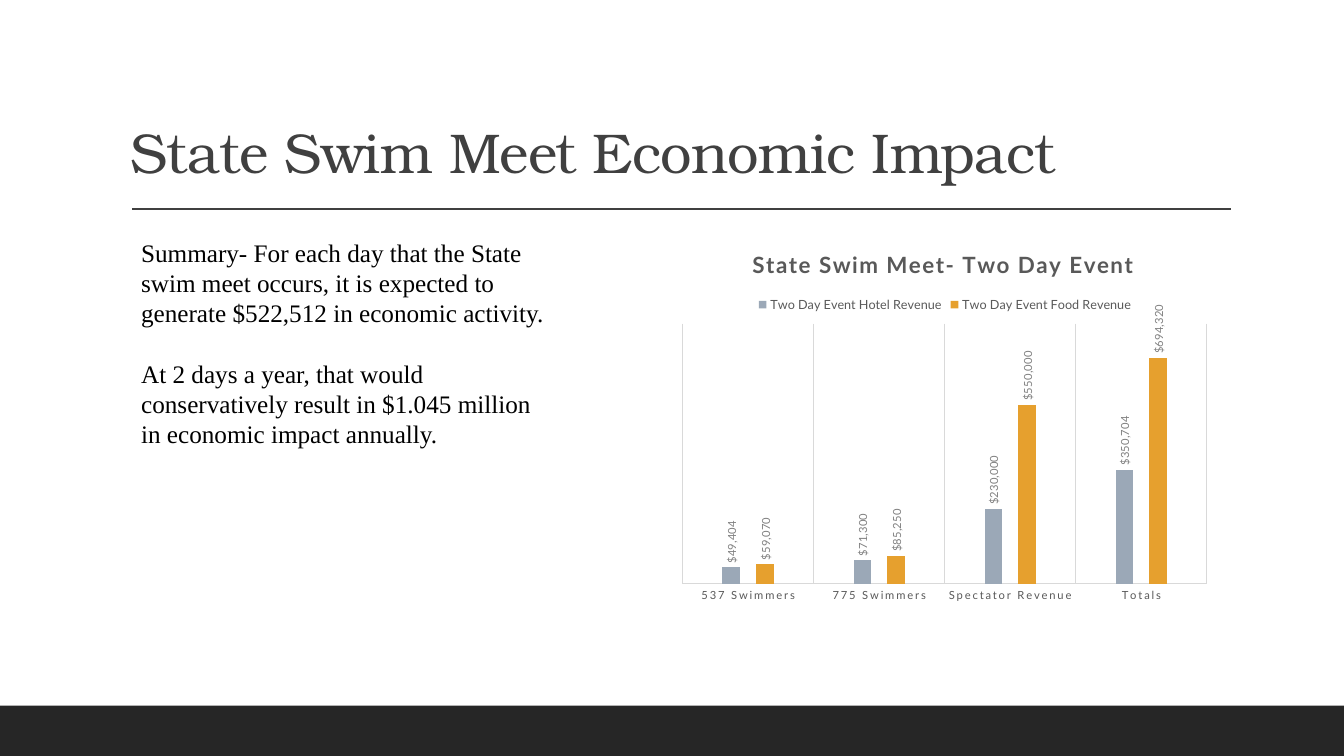
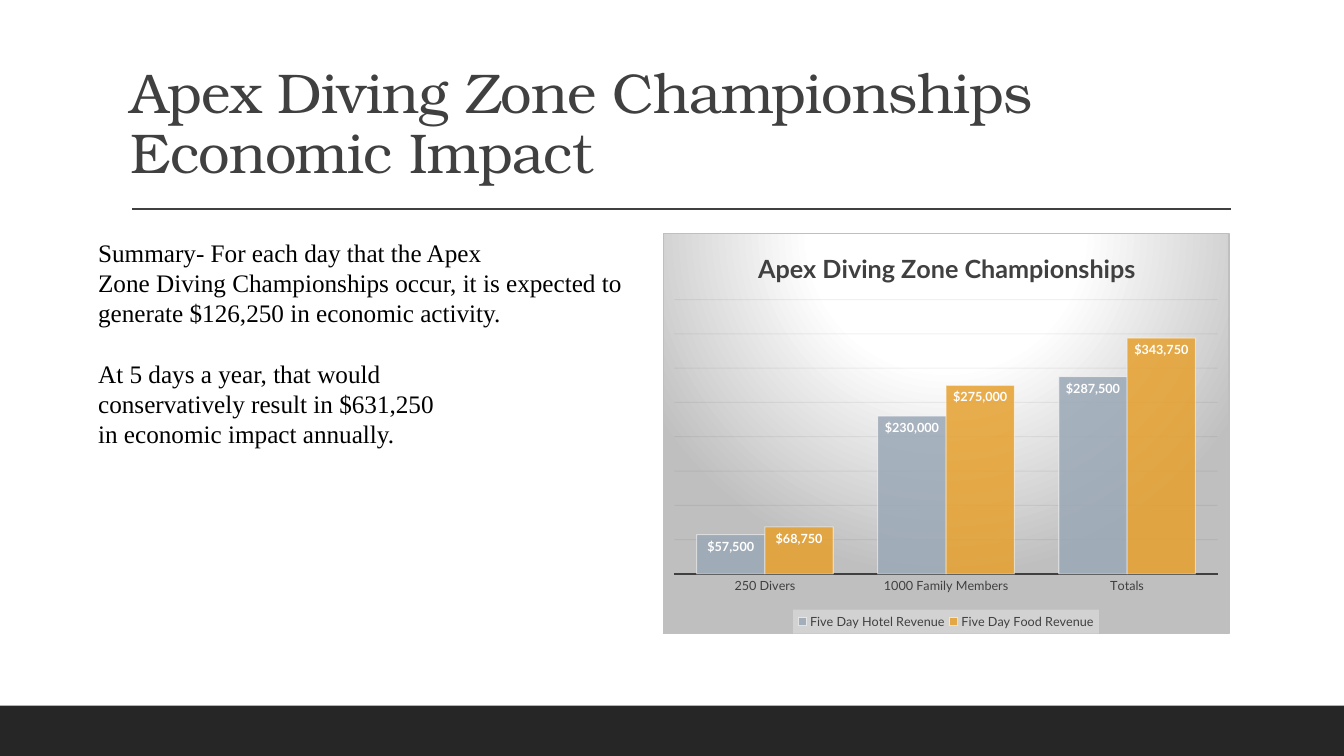
"""Build two economic impact slides, each with a summary and a column chart."""
from dataclasses import dataclass
from typing import Any, NamedTuple

from lxml import etree
from pptx import Presentation
from pptx import util as u
from pptx.chart.data import CategoryChartData
from pptx.dml.color import RGBColor
from pptx.enum import chart as ce
from pptx.enum import shapes, text
from pptx.oxml import parse_xml
from pptx.oxml.ns import nsdecls, qn

PX = 9525


class Box(NamedTuple):
    """Left, top, width and height."""
    x: float
    y: float
    w: float
    h: float


@dataclass(frozen=True)
class Theme:
    """Colours, fonts and type sizes of the deck."""
    band: str = "262626"
    ink: str = "404040"
    body: str = "000000"
    muted: str = "595959"
    label: str = "808080"
    rule: str = "D9D9D9"
    white: str = "FFFFFF"
    edge: str = "BFBFBF"
    panel: str = "F2F2F2"
    grid: str = "0D0D0D"
    series: tuple[str, ...] = ("9BA8B7", "E6A02E")
    title_font: str = "TeX Gyre Bonum"
    body_font: str = "Times New Roman"
    chart_font: str = "Lato"
    title_size: float = 40
    body_size: float = 18
    body_line: float = 21.6
    legend_size: float = 9
    money: str = '"$"#,##0'


T = Theme()


@dataclass(frozen=True)
class Look:
    """Formatting of one chart."""
    ink: str
    title_size: int
    title_spacing: int
    axis_size: int
    axis_line: tuple[str, float]
    label_color: str
    label_size: int
    label_bold: bool
    label_position: Any
    legend_position: Any
    gap: int
    overlap: int
    top: int
    unit: int
    title_box: Box
    legend_box: Box
    plot_box: Box
    glossy: bool = False


@dataclass(frozen=True)
class ImpactSlide:
    """Wording, places and values of one slide."""
    title: str
    summary: tuple[tuple[str, ...], ...]
    summary_box: Box
    chart_title: str
    chart_box: Box
    categories: tuple[str, ...]
    series: dict[str, tuple[int, ...]]
    look: Look


AIRY = Look(
    ink=T.muted, title_size=16, title_spacing=120, axis_size=8, axis_line=(T.rule, 0.75),
    label_color=T.label, label_size=8, label_bold=False,
    label_position=ce.XL_LABEL_POSITION.OUTSIDE_END, legend_position=ce.XL_LEGEND_POSITION.TOP,
    gap=444, overlap=-90, top=800000, unit=100000, title_box=Box(0.14, 0.03, 0, 0),
    legend_box=Box(0.15, 0.16, 0.7, 0.06), plot_box=Box(0.02, 0.24, 0.96, 0.69))
GLOSSY = Look(
    ink=T.ink, title_size=18, title_spacing=0, axis_size=9, axis_line=(T.ink, 1.5),
    label_color=T.white, label_size=9, label_bold=True,
    label_position=ce.XL_LABEL_POSITION.INSIDE_END, legend_position=ce.XL_LEGEND_POSITION.BOTTOM,
    gap=65, overlap=0, top=400000, unit=50000, title_box=Box(0.16, 0.03, 0, 0),
    legend_box=Box(0.23, 0.94, 0.54, 0.06), plot_box=Box(0.02, 0.165, 0.96, 0.686), glossy=True)

SLIDES = (
    ImpactSlide(
        "State Swim Meet Economic Impact",
        (("Summary- For each day that the State",
          "swim meet occurs, it is expected to",
          "generate $522,512 in economic activity."),
         ("At 2 days a year, that would",
          "conservatively result in $1.045 million",
          "in economic impact annually.")),
        Box(125, 221, 423, 242),
        "State Swim Meet- Two Day Event", Box(640, 222, 520, 359),
        ("537 Swimmers", "775 Swimmers", "Spectator Revenue", "Totals"),
        {"Two Day Event Hotel Revenue": (49404, 71300, 230000, 350704),
         "Two Day Event Food Revenue": (59070, 85250, 550000, 694320)},
        AIRY),
    ImpactSlide(
        "Apex Diving Zone Championships Economic Impact",
        (("Summary- For each day that the Apex",
          "Zone Diving Championships occur, it is expected to",
          "generate $126,250 in economic activity."),
         ("At 5 days a year, that would",
          "conservatively result in $631,250",
          "in economic impact annually.")),
        Box(84, 221, 534, 242),
        "Apex Diving Zone Championships", Box(631, 222, 540, 382),
        ("250 Divers", "1000 Family Members", "Totals"),
        {"Five Day Hotel Revenue": (57500, 230000, 287500),
         "Five Day Food Revenue": (68750, 275000, 343750)},
        GLOSSY),
)


def emu(*lengths: float) -> list[int]:
    """Turn px into EMU."""
    return [int(n * PX) for n in lengths]


def assign(obj: Any, **values: Any) -> None:
    """Set several attributes of an object."""
    for name, value in values.items():
        setattr(obj, name, value)


def set_font(font: Any, name: str, size: float, color: str, bold: bool = False) -> None:
    """Format a font."""
    assign(font, name=name, size=u.Pt(size), bold=bold)
    font.color.rgb = RGBColor.from_string(color)


def set_line(line: Any, color: str, width: float) -> None:
    """Format an outline."""
    line.color.rgb = RGBColor.from_string(color)
    line.width = u.Pt(width)


def add_frame(slide: Any) -> None:
    """Draw the bottom band and the rule under the title."""
    sp = slide.shapes.add_shape(shapes.MSO_SHAPE.RECTANGLE, *emu(0, 672, 1280, 48))
    sp.shadow.inherit = False
    sp.fill.solid()
    sp.fill.fore_color.rgb = RGBColor.from_string(T.band)
    sp.line.fill.background()
    rule = slide.shapes.add_connector(shapes.MSO_CONNECTOR.STRAIGHT, *emu(126, 199, 1172, 199))
    set_line(rule.line, T.ink, 1)
    etree.SubElement(rule._element.spPr, qn("a:effectLst"))


def add_title(slide: Any, title: str) -> None:
    """Add the slide title."""
    tf = slide.shapes.add_textbox(*emu(115, 29, 1056, 153)).text_frame
    assign(tf, word_wrap=True, vertical_anchor=text.MSO_ANCHOR.BOTTOM)
    p = tf.paragraphs[0]
    p.line_spacing = 0.9
    r = p.add_run()
    r.text = title
    set_font(r.font, T.title_font, T.title_size, T.ink)
    r._r.get_or_add_rPr().set("spc", "-50")


def add_summary(slide: Any, blocks: tuple[tuple[str, ...], ...], box: Box) -> None:
    """Add the summary, with a gap of one line between blocks."""
    tf = slide.shapes.add_textbox(*emu(*box)).text_frame
    tf.word_wrap = False
    p = None
    for block in blocks:
        for n, line in enumerate(block):
            gap = T.body_line if p is not None and n == 0 else 0
            p = tf.paragraphs[0] if p is None else tf.add_paragraph()
            assign(p, line_spacing=u.Pt(T.body_line), space_before=u.Pt(gap))
            r = p.add_run()
            r.text = line
            set_font(r.font, T.body_font, T.body_size, T.body)


def place(parent: Any, box: Box) -> None:
    """Give a chart part a fixed place, in fractions of the chart."""
    for old in parent.findall(qn("c:layout")):
        parent.remove(old)
    inner = '<c:layoutTarget val="inner"/>' if parent.tag == qn("c:plotArea") else ""
    modes = '<c:xMode val="edge"/><c:yMode val="edge"/>'
    sizes = "".join(f'<c:{k} val="{v}"/>' for k, v in zip("xywh", box) if v)
    layout = parse_xml(f'<c:layout {nsdecls("c")}><c:manualLayout>{inner}{modes}{sizes}'
                       '</c:manualLayout></c:layout>')
    overlay = parent.find(qn("c:overlay"))
    if overlay is None:
        parent.insert(0, layout)
    else:
        overlay.addprevious(layout)


def sp_pr(content: str) -> Any:
    """Make the shape properties of a chart part."""
    return parse_xml(f'<c:spPr {nsdecls("c", "a")}>{content}</c:spPr>')


def solid(color: str) -> str:
    """Give the XML of a solid fill."""
    return f'<a:solidFill><a:srgbClr val="{color}"/></a:solidFill>'


def add_gloss(root: Any) -> None:
    """Add the radial backdrop, legend panel and transparency."""
    stops = "".join(f'<a:gs pos="{pos}"><a:srgbClr val="{color}"/></a:gs>' for pos, color in
                    ((0, T.white), (39000, T.white), (100000, T.edge)))
    root.find(qn("c:chart")).addnext(sp_pr(
        f'<a:gradFill><a:gsLst>{stops}</a:gsLst><a:path path="circle">'
        '<a:fillToRect l="50000" t="-80000" r="50000" b="180000"/></a:path></a:gradFill>'
        f'<a:ln w="9525">{solid(T.edge)}</a:ln>'))
    root.xpath(".//c:legend/c:txPr")[0].addprevious(sp_pr(solid(T.panel)))
    for where, alpha in {"c:ser/c:spPr/a:solidFill": 85, "c:ser/c:spPr/a:ln/a:solidFill": 50,
                         "c:majorGridlines//a:solidFill": 5,
                         "c:legend/c:spPr/a:solidFill": 39}.items():
        for color in root.xpath(f".//{where}/a:srgbClr"):
            etree.SubElement(color, qn("a:alpha")).set("val", str(alpha * 1000))


def add_airiness(root: Any) -> None:
    """Clear the backdrop, space the categories and turn the labels."""
    root.find(qn("c:chart")).addnext(sp_pr("<a:noFill/><a:ln><a:noFill/></a:ln>"))
    for where, name, value in (("c:catAx/c:txPr//a:defRPr", "spc", "120"),
                               ("c:dLbls/c:txPr/a:bodyPr", "rot", "-5400000"),
                               ("c:dLbls/c:txPr/a:bodyPr", "vert", "horz")):
        for element in root.xpath(f".//{where}"):
            element.set(name, value)


def add_revenue_chart(slide: Any, item: ImpactSlide) -> None:
    """Add the clustered column chart."""
    look = item.look
    data = CategoryChartData(number_format=T.money)
    data.categories = item.categories
    for name, values in item.series.items():
        data.add_series(name, values)
    chart = slide.shapes.add_chart(
        ce.XL_CHART_TYPE.COLUMN_CLUSTERED, *emu(*item.chart_box), data).chart
    set_font(chart.font, T.chart_font, 10, T.body)
    root = chart._chartSpace

    chart.has_title = True
    r = chart.chart_title.text_frame.paragraphs[0].add_run()
    r.text = item.chart_title
    set_font(r.font, T.chart_font, look.title_size, look.ink, True)
    r._r.get_or_add_rPr().set("spc", str(look.title_spacing))

    chart.has_legend = True
    assign(chart.legend, position=look.legend_position, include_in_layout=False)
    set_font(chart.legend.font, T.chart_font, T.legend_size, look.ink)

    cat, val = chart.category_axis, chart.value_axis
    assign(cat, major_tick_mark=ce.XL_TICK_MARK.NONE, has_major_gridlines=not look.glossy)
    set_font(cat.tick_labels.font, T.chart_font, look.axis_size, look.ink)
    set_line(cat.format.line, *look.axis_line)
    assign(val, visible=False, minimum_scale=0, maximum_scale=look.top,
           major_unit=look.unit, has_major_gridlines=look.glossy)
    ruled, color = (val, T.grid) if look.glossy else (cat, T.rule)
    set_line(ruled.major_gridlines.format.line, color, 0.75)

    plot = chart.plots[0]
    assign(plot, gap_width=look.gap, overlap=look.overlap, vary_by_categories=False)
    for s, color in zip(plot.series, T.series):
        s.format.fill.solid()
        s.format.fill.fore_color.rgb = RGBColor.from_string(color)
        if look.glossy:
            set_line(s.format.line, T.white, 0.75)
        assign(s.data_labels, show_value=True, number_format=T.money,
               number_format_is_linked=False, position=look.label_position)
        set_font(s.data_labels.font, T.chart_font, look.label_size,
                 look.label_color, look.label_bold)

    for tag, box in (("title", look.title_box), ("legend", look.legend_box),
                     ("plotArea", look.plot_box)):
        place(root.xpath(f"./c:chart/c:{tag}")[0], box)
    (add_gloss if look.glossy else add_airiness)(root)


def main() -> None:
    """Build and save the deck."""
    prs = Presentation()
    prs.slide_width, prs.slide_height = emu(1280, 720)
    for item in SLIDES:
        slide = prs.slides.add_slide(prs.slide_layouts[6])
        add_frame(slide)
        add_title(slide, item.title)
        add_summary(slide, item.summary, item.summary_box)
        add_revenue_chart(slide, item)
    prs.save("out.pptx")


if __name__ == "__main__":
    main()
